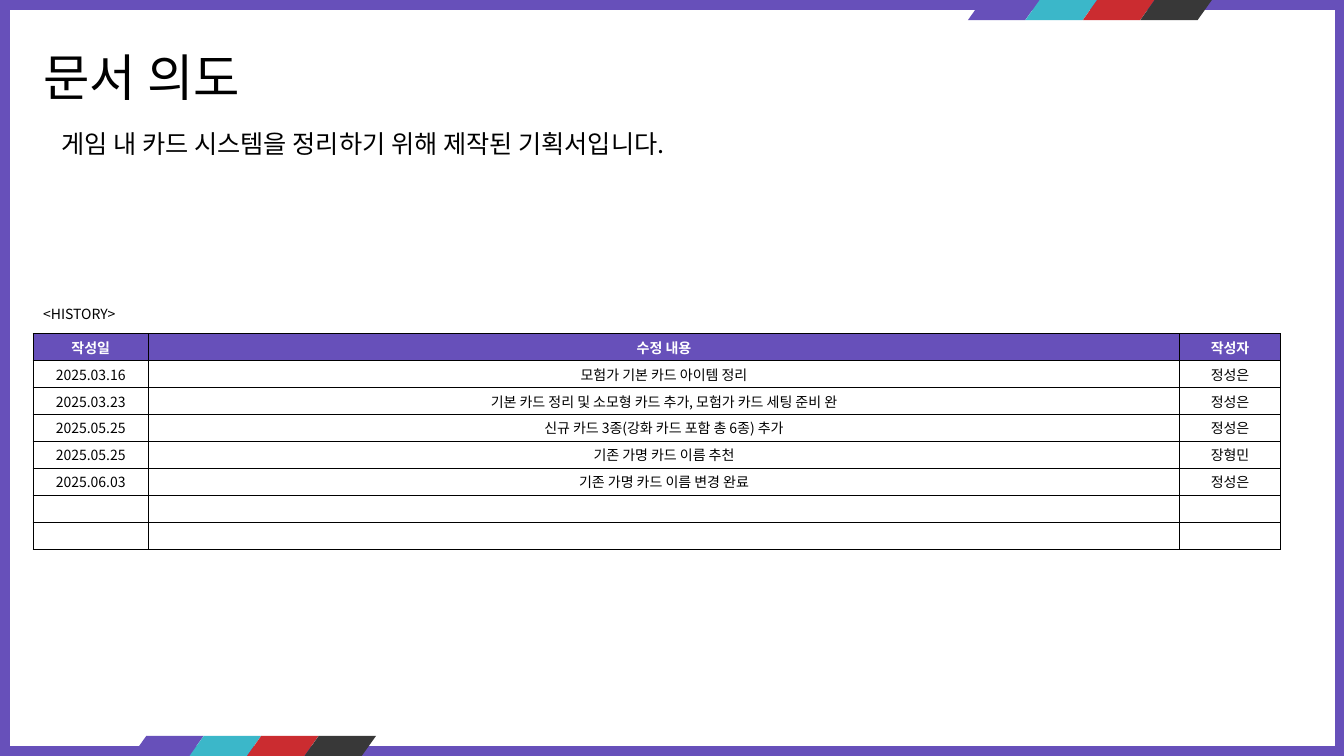
from lxml import etree
from pptx import Presentation
from pptx.dml.color import RGBColor as RGB
from pptx.enum.shapes import MSO_SHAPE as SHAPE
from pptx.enum.text import MSO_ANCHOR as ANCHOR, PP_ALIGN as ALIGN
from pptx.oxml.ns import qn
from pptx.util import Inches, Pt

FONT = "Noto Sans CJK KR"
COLORS = {"purple": "6750BA", "teal": "3BB7C9", "red": "CB2C30",
          "dark": "383838", "white": "FFFFFF", "black": "000000"}
STRIPES = ["purple", "teal", "red", "dark"]
BANDS = [(9.6, 0), (1.31, 7.3)]
TEXTS = [
    ("문서 의도", 36, (0.33, 0.4, 6.43, 0.71)),
    ("게임 내 카드 시스템을 정리하기 위해 제작된 기획서입니다.", 18, (0.51, 1.22, 12.19, 0.4)),
    ("<HISTORY>", 10, (0.33, 2.98, 1, 0.27)),
]
HISTORY = [
    ("작성일", "수정 내용", "작성자"),
    ("2025.03.16", "모험가 기본 카드 아이템 정리", "정성은"),
    ("2025.03.23", "기본 카드 정리 및 소모형 카드 추가, 모험가 카드 세팅 준비 완", "정성은"),
    ("2025.05.25", "신규 카드 3종(강화 카드 포함 총 6종) 추가", "정성은"),
    ("2025.05.25", "기존 가명 카드 이름 추천", "장형민"),
    ("2025.06.03", "기존 가명 카드 이름 변경 완료", "정성은"),
    ("", "", ""),
    ("", "", ""),
]
WIDTHS = [1.14, 10.23, 1]
LEFT, TOP, HEIGHT = 0.33, 3.31, 2.14


def paint(fill, color):
    fill.solid()
    fill.fore_color.rgb = RGB.from_string(COLORS[color])


def style(para, size, color="black", bold=False):
    for run in para.runs:
        font = run.font
        font.name, font.size, font.bold = FONT, Pt(size), bold
        font.color.rgb = RGB.from_string(COLORS[color])
        face = etree.SubElement(run._r.get_or_add_rPr(), qn("a:ea"))
        face.set("typeface", FONT)


def add_block(slide, kind, box, color):
    block = slide.shapes.add_shape(kind, *map(Inches, box))
    block.shadow.inherit = False
    paint(block.fill, color)
    block.line.fill.background()


def add_text(slide, text, size, box):
    frame = slide.shapes.add_textbox(*map(Inches, box)).text_frame
    frame.word_wrap = True
    frame.vertical_anchor = ANCHOR.MIDDLE
    frame.text = text
    style(frame.paragraphs[0], size)


def add_border(cell):
    props = cell._tc.get_or_add_tcPr()
    for at, side in enumerate(("lnL", "lnR", "lnT", "lnB")):
        line = etree.Element(qn("a:" + side), w=str(Pt(1)))
        fill = etree.SubElement(line, qn("a:solidFill"))
        etree.SubElement(fill, qn("a:srgbClr"), val=COLORS["black"])
        props.insert(at, line)


def fill_cell(cell, text, head):
    cell.text = text
    cell.vertical_anchor = ANCHOR.MIDDLE
    cell.margin_top = cell.margin_bottom = Inches(0.03)
    para = cell.text_frame.paragraphs[0]
    para.alignment = ALIGN.CENTER
    style(para, 10, "white" if head else "black", head)
    if not text:
        etree.SubElement(para._p, qn("a:endParaRPr"), sz="1000")
    if head:
        paint(cell.fill, "purple")
    else:
        cell.fill.background()
    add_border(cell)


def add_history(slide):
    box = map(Inches, (LEFT, TOP, sum(WIDTHS), HEIGHT))
    table = slide.shapes.add_table(len(HISTORY), len(WIDTHS), *box).table
    table.horz_banding = False
    for col, width in zip(table.columns, WIDTHS):
        col.width = Inches(width)
    for r, row in enumerate(HISTORY):
        for c, text in enumerate(row):
            fill_cell(table.cell(r, c), text, r == 0)


def main():
    deck = Presentation()
    deck.slide_width, deck.slide_height = Inches(13.33), Inches(7.5)
    slide = deck.slides.add_slide(deck.slide_layouts[6])
    paint(slide.background.fill, "purple")
    add_block(slide, SHAPE.RECTANGLE, (0.1, 0.1, 13.14, 7.3), "white")
    for left, top in BANDS:
        for i, color in enumerate(STRIPES):
            add_block(slide, SHAPE.FLOWCHART_DATA, (left + i * 0.57, top, 0.71, 0.2), color)
    for text, size, box in TEXTS:
        add_text(slide, text, size, box)
    add_history(slide)
    deck.save("out.pptx")


if __name__ == "__main__":
    main()
